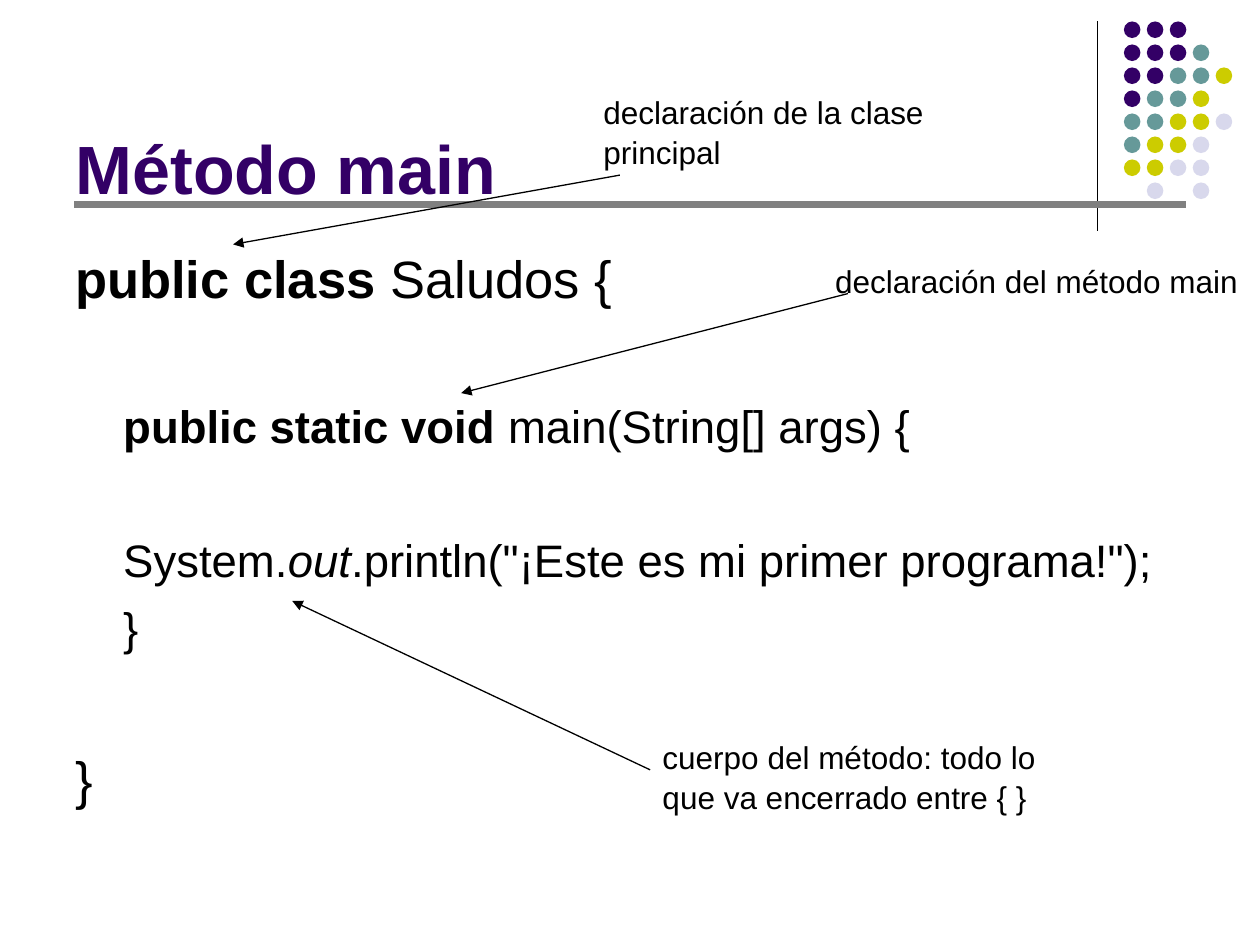
from pptx import Presentation
from pptx.dml.color import RGBColor
from pptx.enum.shapes import MSO_CONNECTOR, MSO_SHAPE
from pptx.enum.text import MSO_ANCHOR, PP_ALIGN
from pptx.oxml.ns import qn
from pptx.util import Inches, Pt
from lxml.etree import SubElement

TITLE = "Método main"
CODE = [
    (0, 30, 0, [("public class", "b"), (" Saludos {", "")]),
    (1, 26, 50, [("public static void", "b"), (" main(String[] args) {", "")]),
    (1, 26, 44.2, [("System.", ""), ("out", "i"),
                   (".println(\"¡Este es mi primer programa!\");", "")]),
    (1, 26, 6.5, [("}", "")]),
    (0, 30, 51, [("}", "")]),
]
NOTES = [
    ("declaración del método main", (6.53, 2.02, 3.47, 0.4),
     (6.73, 2.33, 3.66, 3.12)),
    ("declaración de la clase principal", (4.69, 0.68, 3.47, 0.7),
     (4.92, 1.39, 1.85, 1.94)),
    ("cuerpo del método: todo lo que va encerrado entre { }",
     (5.16, 5.8, 3.47, 0.7), (5.16, 6.11, 2.32, 4.77)),
]
DOTS = ["PPP", "PPPT", "PPTTY", "PTTY", "TTYYL", "TYYL", "YYLL", " L L"]
TINTS = {"P": "330066", "T": "669999", "Y": "CCCC00", "L": "D8D8EC"}
BLACK, GRAY = "000000", "808080"


def paint(item, tint):
    item.rgb = RGBColor.from_string(tint)


def style(run, size, tint, bold=False, slant=False):
    font = run.font
    font.name, font.size = "Arial", Pt(size)
    font.bold, font.italic = bold, slant
    font.fill.solid()
    paint(font.fill.fore_color, tint)


def draw_line(ends, tint, width, arrow=False):
    line = slide.shapes.add_connector(
        MSO_CONNECTOR.STRAIGHT, *[Inches(v) for v in ends])
    line.line.width = Pt(width)
    paint(line.line.color, tint)
    props = line.element.spPr
    SubElement(props, qn("a:effectLst"))
    if arrow:
        props.find(qn("a:ln")).append(
            props.makeelement(qn("a:tailEnd"), {"type": "triangle"}))


def add_text(spot):
    frame = slide.shapes.add_textbox(*[Inches(v) for v in spot]).text_frame
    frame.word_wrap = True
    return frame


deck = Presentation()
deck.slide_width, deck.slide_height = Inches(10), Inches(7.5)
slide = deck.slides.add_slide(deck.slide_layouts[5])

draw_line((8.71, 0.17, 8.71, 1.83), BLACK, 0.75)
group = slide.shapes.add_group_shape()
for row, marks in enumerate(DOTS):
    for col, mark in enumerate(marks):
        if mark == " ":
            continue
        dot = group.shapes.add_shape(
            MSO_SHAPE.OVAL, Inches(8.92 + col * 0.18), Inches(0.17 + row * 0.18),
            Inches(0.13), Inches(0.13))
        dot.shadow.inherit = False
        dot.fill.solid()
        paint(dot.fill.fore_color, TINTS[mark])
        dot.line.fill.background()
group.width, group.height = Inches(0.86), Inches(1.41)
draw_line((0.59, 1.62, 9.41, 1.62), GRAY, 4)

title = slide.shapes.title
title.left, title.top = Inches(0.5), Inches(0.13)
title.width, title.height = Inches(8.25), Inches(1.57)
frame = title.text_frame
frame.text = TITLE
frame.vertical_anchor = MSO_ANCHOR.BOTTOM
frame.paragraphs[0].alignment = PP_ALIGN.LEFT
style(frame.paragraphs[0].runs[0], 39, TINTS["P"], True)

frame = add_text((0.5, 1.88, 9, 4.82))
for num, (level, size, gap, parts) in enumerate(CODE):
    para = frame.add_paragraph() if num else frame.paragraphs[0]
    para.level = level
    props = para._p.get_or_add_pPr()
    props.set("marL", str(Inches(0.38 * (level + 1))))
    props.set("indent", str(Inches(-0.38)))
    para.space_before, para.line_spacing = Pt(gap), 1.04
    for words, kind in parts:
        run = para.add_run()
        run.text = words
        style(run, size, BLACK, kind == "b", kind == "i")

for words, spot, ends in NOTES:
    draw_line(ends, BLACK, 0.75, True)
    frame = add_text(spot)
    frame.text = words
    para = frame.paragraphs[0]
    para.line_spacing = 1.04
    style(para.runs[0], 18, BLACK)

deck.save("out.pptx")
